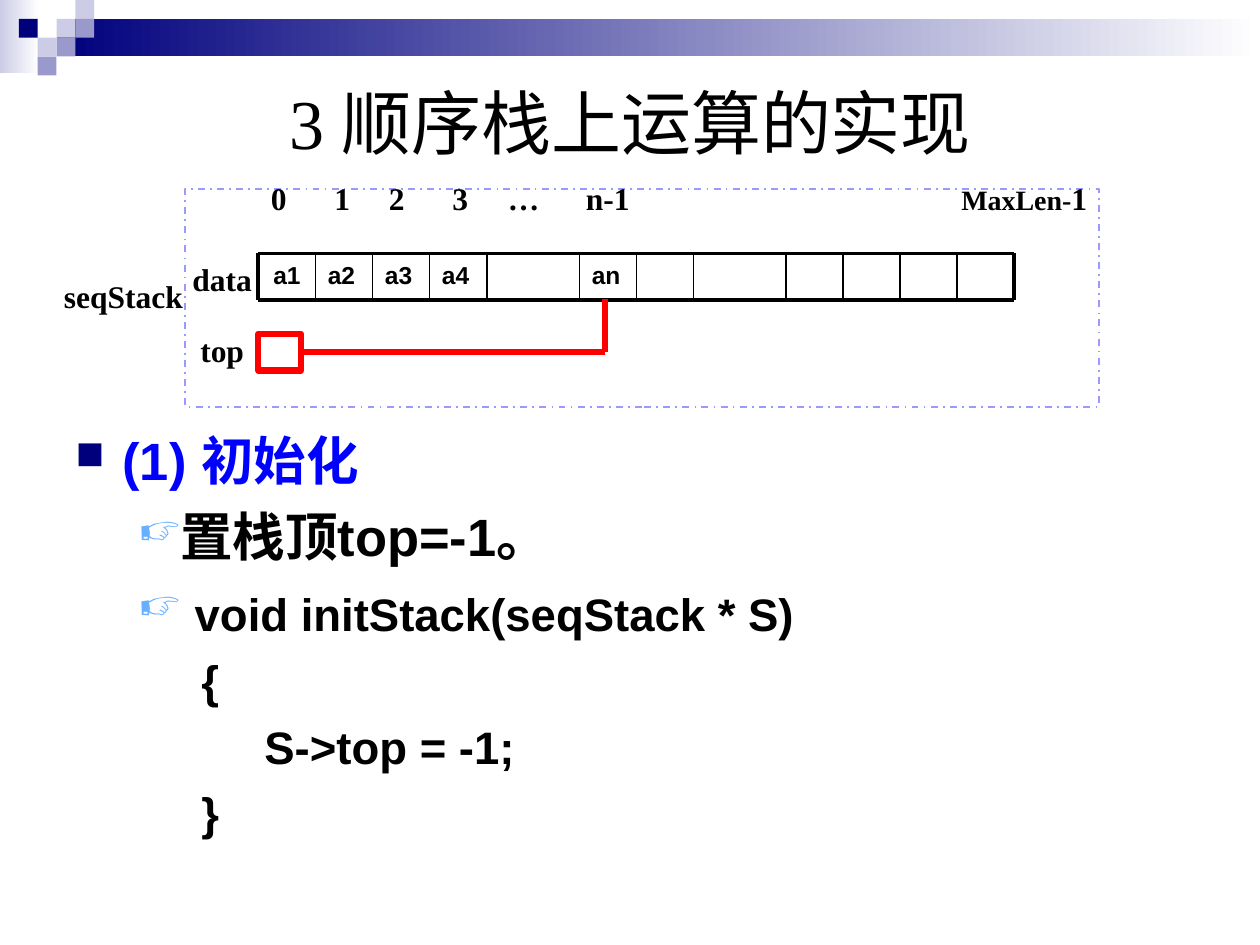
from dataclasses import dataclass
from itertools import accumulate

from lxml.etree import SubElement
from pptx import Presentation
from pptx.dml.color import RGBColor
from pptx.enum.dml import MSO_LINE
from pptx.enum.shapes import MSO_CONNECTOR, MSO_SHAPE
from pptx.enum.text import MSO_ANCHOR, PP_ALIGN
from pptx.oxml.ns import qn
from pptx.util import Cm, Pt

COLOURS = {
    "navy": "00007D", "lilac": "CCCCE6", "violet": "9999CC", "white": "FFFFFF",
    "black": "000000", "blue": "0000FF", "sky": "67AFFF", "red": "FF0000",
    "frame": "9999FF",
}
SERIF, SANS = "Times New Roman", "Arial"
SQUARE = 0.38
ARRAY_LEFT, ARRAY_TOP, ARRAY_BOTTOM = 5.21, 5.11, 6.05
NARROW, WIDE = 1.15, 1.87


@dataclass
class Box:
    left: float
    top: float
    width: float
    height: float

    def lengths(self) -> list:
        return [Cm(v) for v in (self.left, self.top, self.width, self.height)]


@dataclass
class Bullet:
    symbol: str
    colour: str
    percent: int


@dataclass
class Line:
    runs: list  # (text, size) pairs
    colour: str = "black"
    bullet: Bullet | None = None
    margin: float = 2.06
    hanging: float = 0.79
    space: float = 6.5


def rgb(name: str) -> RGBColor:
    return RGBColor.from_string(COLOURS[name])


def add_run(paragraph, text: str, size: float, font_name: str, colour: str, bold: bool) -> None:
    run = paragraph.add_run()
    run.text = text
    for name, value in {"name": font_name, "size": Pt(size), "bold": bold}.items():
        setattr(run.font, name, value)
    run.font.color.rgb = rgb(colour)


def add_text_frame(slide, box: Box, anchor=MSO_ANCHOR.TOP):
    frame = slide.shapes.add_textbox(*box.lengths()).text_frame
    frame.word_wrap = True
    frame.vertical_anchor = anchor
    return frame


def add_label(slide, box: Box, text: str, size: float, font_name: str = SERIF,
              align=PP_ALIGN.CENTER, bold: bool = True, anchor=MSO_ANCHOR.TOP) -> None:
    paragraph = add_text_frame(slide, box, anchor).paragraphs[0]
    paragraph.alignment = align
    add_run(paragraph, text, size, font_name, "black", bold)


def add_rectangle(slide, box: Box, fill: str, fade: bool = False, line: str = "", weight: float = 1):
    shape = slide.shapes.add_shape(MSO_SHAPE.RECTANGLE, *box.lengths())
    shape.shadow.inherit = False
    if fade:
        shape.fill.gradient()
        shape.fill.gradient_angle = 0
        for stop, name in zip(shape.fill.gradient_stops, (fill, "white")):
            stop.color.rgb = rgb(name)
    else:
        shape.fill.solid()
        shape.fill.fore_color.rgb = rgb(fill)
    if line:
        shape.line.color.rgb = rgb(line)
        shape.line.width = Pt(weight)
    else:
        shape.line.fill.background()
    return shape


def add_line(slide, x1: float, y1: float, x2: float, y2: float, colour: str, weight: float):
    connector = slide.shapes.add_connector(
        MSO_CONNECTOR.STRAIGHT, Cm(x1), Cm(y1), Cm(x2), Cm(y2))
    connector.line.color.rgb = rgb(colour)
    connector.line.width = Pt(weight)
    SubElement(connector._element.spPr, qn("a:effectLst"))
    return connector


def set_bullet(paragraph, bullet: Bullet) -> None:
    properties = paragraph._p.get_or_add_pPr()
    colour = SubElement(properties, qn("a:buClr"))
    SubElement(colour, qn("a:srgbClr"), val=COLOURS[bullet.colour])
    SubElement(properties, qn("a:buSzPct"), val=str(bullet.percent * 1000))
    SubElement(properties, qn("a:buChar"), char=bullet.symbol)


def add_header(slide) -> None:
    add_rectangle(slide, Box(0, 0, 0.79, 1.47), "lilac", fade=True)
    add_rectangle(slide, Box(3 * SQUARE, SQUARE, 24.26, 2 * SQUARE), "navy", fade=True)
    squares = [(3, 1, "lilac"), (4, 0, "lilac"), (4, 1, "violet"), (2, 2, "lilac"),
               (1, 1, "navy"), (3, 2, "violet"), (2, 3, "violet")]
    for column, row, fill in squares:
        add_rectangle(slide, Box(column * SQUARE, row * SQUARE, SQUARE, SQUARE), fill)


def add_body(slide) -> None:
    square = Bullet("■", "navy", 75)
    hand = Bullet("☞", "sky", 80)
    lines = [
        Line([("(1) 初始化", 30)], "blue", square, 0.95, 0.95, 0),
        Line([("置栈顶top=-1。", 30)], bullet=hand, space=7.5),
        Line([(" ", 30), ("void initStack(seqStack * S)", 26)], bullet=hand),
        Line([("     {", 26)]),
        Line([("          S->top = -1;", 26)]),
        Line([("     }", 26)]),
    ]
    frame = add_text_frame(slide, Box(1.27, 8.51, 22.86, 8.84))
    for number, line in enumerate(lines):
        paragraph = frame.add_paragraph() if number else frame.paragraphs[0]
        if line.space:
            paragraph.space_before = Pt(line.space)
        properties = paragraph._p.get_or_add_pPr()
        properties.set("marL", str(Cm(line.margin)))
        properties.set("indent", str(-Cm(line.hanging)))
        if line.bullet:
            set_bullet(paragraph, line.bullet)
        for text, size in line.runs:
            add_run(paragraph, text, size, SANS, line.colour, True)


def add_array(slide) -> None:
    cells = [("a1", NARROW), ("a2", NARROW), ("a3", NARROW), ("a4", NARROW), ("", WIDE),
             ("an", NARROW), ("", NARROW), ("", WIDE)] + [("", NARROW)] * 4
    edges = list(accumulate((width for _, width in cells), initial=ARRAY_LEFT))
    height = ARRAY_BOTTOM - ARRAY_TOP
    for (text, width), left in zip(cells, edges):
        if text:
            align = PP_ALIGN.CENTER if left == ARRAY_LEFT else PP_ALIGN.LEFT
            add_label(slide, Box(left, ARRAY_TOP, width, height), text, 14, SANS, align)
    for y in (ARRAY_TOP, ARRAY_BOTTOM):
        add_line(slide, edges[0], y, edges[-1], y, "black", 2.25)
    for x in edges:
        weight = 2.25 if x in (edges[0], edges[-1]) else 1
        add_line(slide, x, ARRAY_TOP, x, ARRAY_BOTTOM, "black", weight)


def add_indexes(slide) -> None:
    paragraph = add_text_frame(slide, Box(5.21, 3.48, 17.15, 1.7)).paragraphs[0]
    tabs = SubElement(paragraph._p.get_or_add_pPr(), qn("a:tabLst"))
    for stop in (1.28, 2.38, 3.66, 4.78, 6.35, 13.92):
        SubElement(tabs, qn("a:tab"), pos=str(Cm(stop)), algn="l")
    for text, size in (("0\t1\t2\t3\t…\tn-1\t", 18), ("MaxLen-", 16), ("1", 18)):
        add_run(paragraph, text, size, SERIF, "black", True)


def add_stack_diagram(slide) -> None:
    frame = add_rectangle(slide, Box(3.73, 3.81, 18.42, 4.39), "white", line="frame")
    frame.line.dash_style = MSO_LINE.DASH_DOT
    add_array(slide)
    add_indexes(slide)
    # Top pointer leading to the last element
    pointer = add_rectangle(slide, Box(5.21, 6.73, 0.86, 0.74), "white", line="red", weight=3.5)
    add_line(slide, 6.07, 7.1, 12.19, 7.1, "red", 3.5).begin_connect(pointer, 3)
    add_line(slide, 12.19, 6.02, 12.19, 7.1, "red", 3.5)
    # Names of the parts
    for text, left, top, width in (("data", 3.53, 5.11, 1.9), ("top", 3.53, 6.55, 1.9),
                                   ("seqStack", 0.84, 5.46, 3.3)):
        add_label(slide, Box(left, top, width, 1.02), text, 18)


def main() -> None:
    presentation = Presentation()
    presentation.slide_width, presentation.slide_height = Cm(25.4), Cm(19.05)
    slide = presentation.slides.add_slide(presentation.slide_layouts[6])
    add_header(slide)
    add_label(slide, Box(1.27, 1.27, 22.86, 2.34), "3 顺序栈上运算的实现", 40,
              bold=False, anchor=MSO_ANCHOR.MIDDLE)
    add_body(slide)
    add_stack_diagram(slide)
    presentation.save("out.pptx")


if __name__ == "__main__":
    main()
